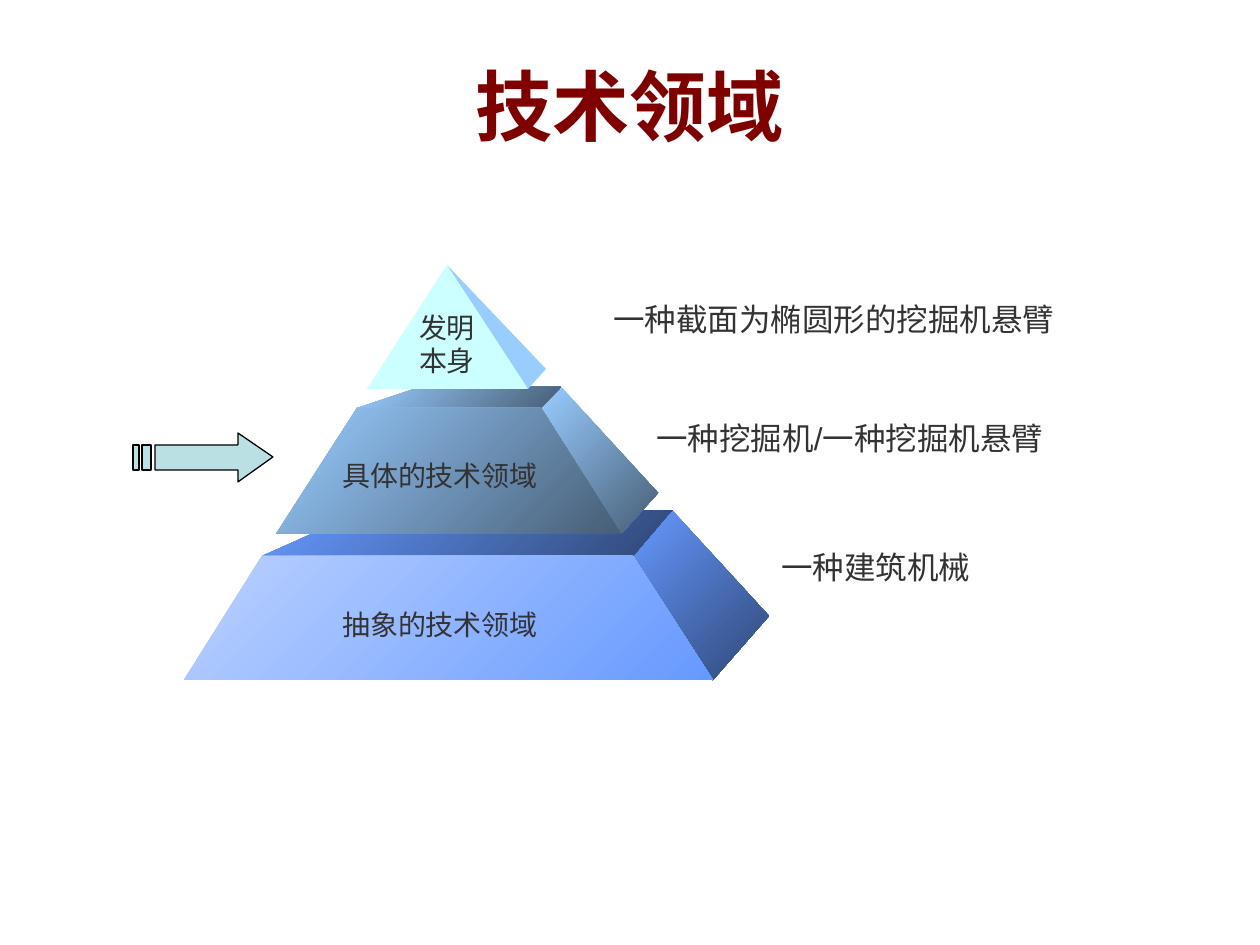
from dataclasses import dataclass

from pptx import Presentation
from pptx.dml.color import RGBColor
from pptx.enum.text import MSO_ANCHOR, MSO_AUTO_SIZE, PP_ALIGN
from pptx.shapes.autoshape import Shape
from pptx.slide import Slide
from pptx.util import Inches, Pt

PX = Inches(1) / 126
BLANK_LAYOUT = 6
LEFT, CENTER = PP_ALIGN.LEFT, PP_ALIGN.CENTER
TOP, MIDDLE = MSO_ANCHOR.TOP, MSO_ANCHOR.MIDDLE
FIXED, GROW = MSO_AUTO_SIZE.NONE, MSO_AUTO_SIZE.SHAPE_TO_FIT_TEXT

Point = tuple[int, int]
Outline = tuple[Point, ...]
Shade = tuple[str, ...]


@dataclass(frozen=True)
class Theme:
    font: str = "Arial"
    title_color: str = "800000"
    text_color: str = "333333"
    title_size: int = 44
    tier_size: int = 16
    example_size: int = 18
    royal: Shade = ("6699FF", "2F4776")
    royal_front: Shade = ("BCD2FF", "6699FF")
    steel: Shade = ("99CCFF", "475E76")
    sky: Shade = ("99CCFF",)
    ice: Shade = ("CCFFFF",)
    arrow_fill: Shade = ("BBE0E3",)
    arrow_line: str = "000000"
    arrow_weight: float = 0.75


@dataclass(frozen=True)
class Tier:
    base: tuple[Point, Point, Point]
    top: tuple[Point, Point, Point, Point]
    side: Shade
    front: Shade


@dataclass(frozen=True)
class Caption:
    lines: tuple[str, ...]
    box: tuple[int, int, int, int]
    size: int
    color: str
    align: PP_ALIGN = LEFT
    anchor: MSO_ANCHOR = MIDDLE
    wrap: bool = False
    fit: MSO_AUTO_SIZE = GROW
    bold: bool = False


THEME = Theme()
APEX: Point = (447, 265)

TIERS = (
    Tier(((184, 680), (713, 680), (769, 616)),
         ((262, 556), (633, 556), (672, 510), (365, 510)),
         THEME.royal, THEME.royal_front),
    Tier(((276, 534), (621, 534), (658, 493)),
         ((357, 408), (541, 408), (561, 387), (420, 387)),
         THEME.steel, THEME.steel),
    Tier(((367, 389), (528, 389), (546, 369)), (APEX,) * 4, THEME.sky, THEME.ice),
)

ARROW: tuple[Outline, ...] = (
    ((238, 433), (238, 445), (155, 445), (155, 470), (238, 470), (238, 482), (273, 457)),
    ((142, 445), (142, 470), (151, 470), (151, 445)),
    ((133, 445), (133, 470), (139, 470), (139, 445)),
)


def tier_caption(lines: tuple[str, ...], box: tuple[int, int, int, int]) -> Caption:
    """Describe a centred caption on the front of a tier."""
    return Caption(lines, box, THEME.tier_size, THEME.text_color, CENTER, TOP, True)


def example(line: str, left: int, top: int, width: int) -> Caption:
    """Describe an example beside the pyramid."""
    return Caption((line,), (left, top, width, 50), THEME.example_size, THEME.text_color)


CAPTIONS = (
    Caption(("技术领域",), (94, 26, 1072, 158), THEME.title_size, THEME.title_color,
            CENTER, wrap=True, fit=FIXED, bold=True),
    tier_caption(("发明", "本身"), (372, 304, 150, 81)),
    tier_caption(("具体的技术领域",), (306, 452, 268, 47)),
    tier_caption(("抽象的技术领域",), (306, 601, 268, 47)),
    example("一种截面为椭圆形的挖掘机悬臂", 601, 294, 472),
    example("一种挖掘机/一种挖掘机悬臂", 644, 413, 433),
    example("一种建筑机械", 769, 542, 220),
)


def draw_outlines(slide: Slide, outlines: tuple[Outline, ...], shade: Shade) -> Shape:
    """Draw closed outlines as one shape with a flat or diagonal fill."""
    builder = slide.shapes.build_freeform(*outlines[0][0], scale=PX)
    for index, (start, *rest) in enumerate(outlines):
        if index:
            builder.move_to(*start)
        builder.add_line_segments(rest, close=True)
    shape = builder.convert_to_shape()
    shape.shadow.inherit = False
    shape.line.fill.background()
    if len(shade) == 1:
        shape.fill.solid()
        shape.fill.fore_color.rgb = RGBColor.from_string(shade[0])
    else:
        shape.fill.gradient()
        shape.fill.gradient_angle = 315
        for stop, color in zip(shape.fill.gradient_stops, shade):
            stop.color.rgb = RGBColor.from_string(color)
    return shape


def draw_tier(slide: Slide, tier: Tier) -> None:
    """Draw the right, upper and front faces of a tier."""
    left, right, back = tier.base
    top_left, top_right, top_back, _ = tier.top
    draw_outlines(slide, ((top_right, right, back, top_back),), tier.side)
    if top_left != top_right:
        draw_outlines(slide, (tier.top,), tier.side)
    draw_outlines(slide, ((left, right, top_right, top_left),), tier.front)


def draw_arrow(slide: Slide) -> None:
    """Draw the striped arrow that points at the middle tier."""
    arrow = draw_outlines(slide, ARROW, THEME.arrow_fill)
    arrow.line.color.rgb = RGBColor.from_string(THEME.arrow_line)
    arrow.line.width = Pt(THEME.arrow_weight)


def draw_caption(slide: Slide, caption: Caption) -> None:
    """Write a caption in a text box."""
    frame = slide.shapes.add_textbox(*(round(n * PX) for n in caption.box)).text_frame
    frame_format = {
        "word_wrap": caption.wrap,
        "auto_size": caption.fit,
        "vertical_anchor": caption.anchor,
    }
    for name, value in frame_format.items():
        setattr(frame, name, value)
    frame.text = "\n".join(caption.lines)
    font_format = {"name": THEME.font, "size": Pt(caption.size), "bold": caption.bold}
    for paragraph in frame.paragraphs:
        paragraph.alignment = caption.align
        font = paragraph.runs[0].font
        for name, value in font_format.items():
            setattr(font, name, value)
        font.color.rgb = RGBColor.from_string(caption.color)


def main() -> None:
    """Build the technical field pyramid slide."""
    deck = Presentation()
    deck.slide_width, deck.slide_height = Inches(10), Inches(7.5)
    slide = deck.slides.add_slide(deck.slide_layouts[BLANK_LAYOUT])
    for tier in TIERS:
        draw_tier(slide, tier)
    for caption in CAPTIONS:
        draw_caption(slide, caption)
    draw_arrow(slide)
    deck.save("out.pptx")


if __name__ == "__main__":
    main()
